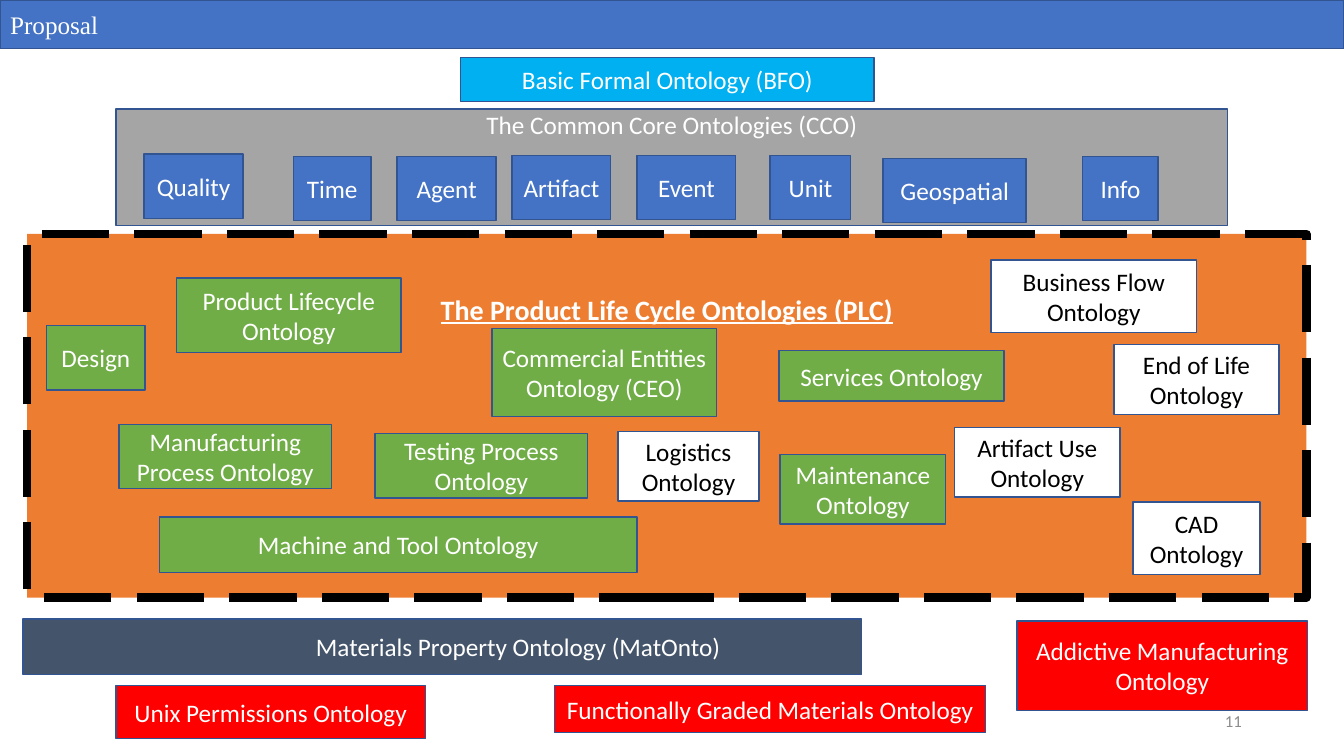
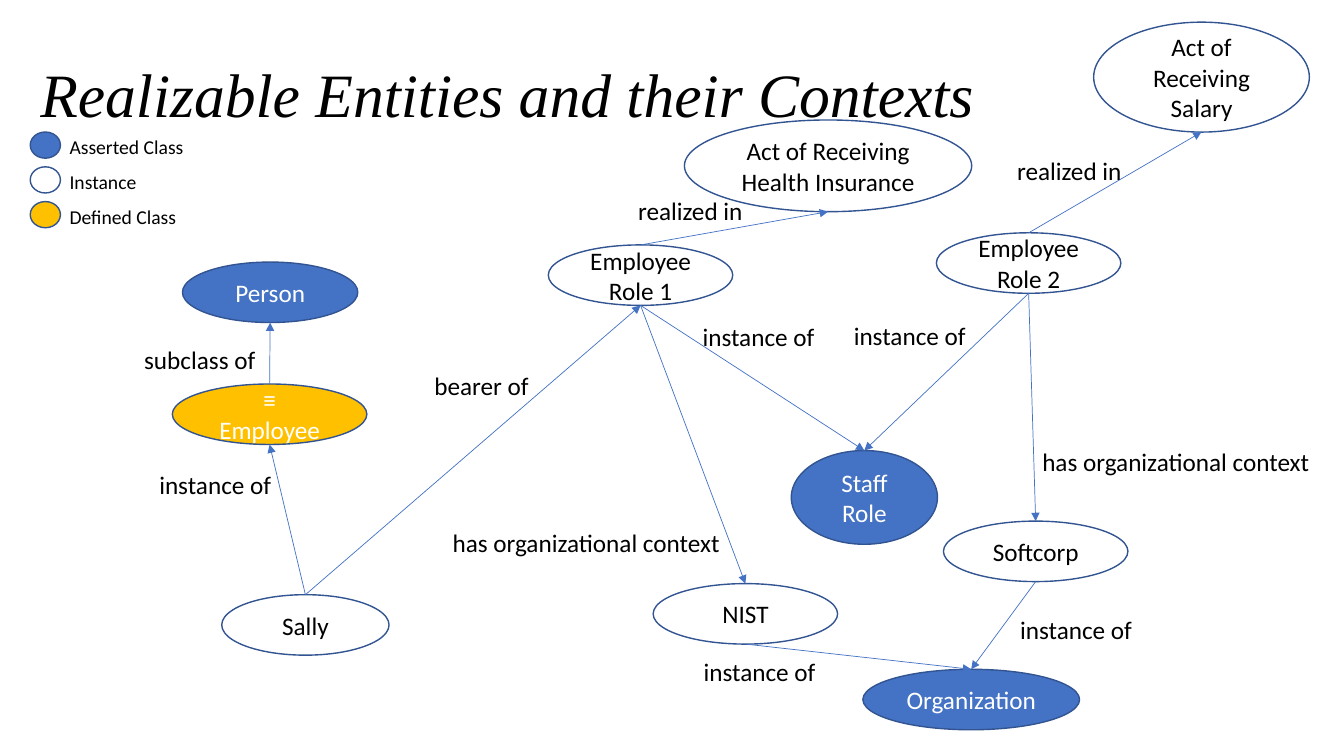
from lxml import etree
from pptx import Presentation, util as u
from pptx.dml.color import RGBColor
from pptx.enum import dml, shapes, text
from pptx.oxml.ns import qn

COLORS = {
    "blue": "4472C4", "outline": "325491", "sky": "00B0F0", "gray": "A5A5A5",
    "orange": "ED7D31", "green": "70AD47", "slate": "44546A", "red": "FF0000",
    "gold": "FFC000", "white": "FFFFFF", "black": "000000", "muted": "8C8C8C",
}
RECT = shapes.MSO_SHAPE.RECTANGLE
OVAL = shapes.MSO_SHAPE.OVAL
LEFT, CENTER, RIGHT = text.PP_ALIGN.LEFT, text.PP_ALIGN.CENTER, text.PP_ALIGN.RIGHT
TOP, MIDDLE = text.MSO_ANCHOR.TOP, text.MSO_ANCHOR.MIDDLE

prs = Presentation()
prs.slide_width, prs.slide_height = u.Inches(13.333), u.Inches(7.5)
COL, ROW = prs.slide_width / 40, prs.slide_height / 30


def rgb(name):
    return RGBColor.from_string(COLORS[name])


def put(slide, words, box, kind=None, fill="white", line="outline", line_width=1,
        dash=None, size=18, font="Calibri", color=None, bold=None, italic=None,
        underline=None, align=None, anchor=MIDDLE, wrap=True, left=0.3, top=0.2):
    x, y, w, h = box
    frame = [int(v) for v in (x * COL, y * ROW, w * COL, h * ROW)]
    if kind is None:
        item = slide.shapes.add_textbox(*frame)
        color, align = color or "black", align or LEFT
    else:
        item = slide.shapes.add_shape(kind, *frame)
        item.shadow.inherit = False
        item.fill.solid()
        item.fill.fore_color.rgb = rgb(fill)
        item.line.color.rgb = rgb(line)
        item.line.width = u.Pt(line_width)
        if dash:
            item.line.dash_style = dash
        color = color or ("black" if fill == "white" else "white")
        align = align or CENTER
    body = item.text_frame
    body.word_wrap, body.vertical_anchor = wrap, anchor
    body.margin_left, body.margin_top = int(left * COL), int(top * ROW)
    if words:
        paragraph = body.paragraphs[0]
        paragraph.alignment = align
        run = paragraph.add_run()
        run.text = words
        style = run.font
        style.name, style.size, style.color.rgb = font, u.Pt(size), rgb(color)
        style.bold, style.italic, style.underline = bold, italic, underline
    return item


blank = prs.slide_layouts[6]
proposal = prs.slides.add_slide(blank)
put(proposal, "Proposal", (0, 0, 40, 1.92), RECT, "blue", font="Times New Roman", align=LEFT)
put(proposal, "The Common Core Ontologies (CCO)", (3.45, 4.32, 33.09, 4.64), RECT, "gray",
    anchor=TOP, top=0)
put(proposal, "The Product Life Cycle Ontologies (PLC)", (0.81, 9.28, 38.07, 14.44), RECT,
    "orange", line="black", line_width=6, dash=dml.MSO_LINE.LONG_DASH,
    size=20, bold=True, underline=True, anchor=TOP, top=2.32)
put(proposal, "Materials Property Ontology (MatOnto)", (0.69, 24.56, 24.96, 2.2), RECT,
    "slate", left=4.8)

core_ontologies = [
    ("Quality", 4.29, 6.12, 2.94), ("Time", 8.73, 6.2, 2.31),
    ("Agent", 11.82, 6.2, 2.94), ("Artifact", 15.24, 6.16, 2.94),
    ("Event", 18.96, 6.16, 2.94), ("Unit", 22.92, 6.16, 2.4),
    ("Geospatial", 26.28, 6.28, 4.26), ("Info", 32.22, 6.2, 2.25),
]
for name, x, y, w in core_ontologies:
    put(proposal, name, (x, y, w, 2.56), RECT, "blue")

ontologies = {
    "sky": [("Basic Formal Ontology (BFO)", 13.71, 2.28, 12.3, 1.76)],
    "green": [
        ("Design", 1.38, 12.92, 2.94, 2.56),
        ("Product Lifecycle Ontology", 5.25, 11.04, 6.69, 2.96),
        ("Commercial Entities Ontology (CEO)", 14.64, 13.04, 6.69, 3.48),
        ("Services Ontology", 23.19, 13.92, 6.69, 2),
        ("Manufacturing Process Ontology", 3.54, 16.84, 6.33, 2.56),
        ("Testing Process Ontology", 11.16, 17.2, 6.33, 2.56),
        ("Maintenance Ontology", 23.22, 18.04, 4.92, 2.76),
        ("Machine and Tool Ontology", 4.74, 20.52, 14.22, 2.2),
    ],
    "white": [
        ("Business Flow Ontology", 29.49, 10.32, 6.12, 2.88),
        ("End of Life Ontology", 33.15, 13.68, 4.92, 2.76),
        ("Logistics Ontology", 18.39, 17.12, 4.2, 2.76),
        ("Artifact Use Ontology", 28.41, 16.96, 4.92, 2.76),
        ("CAD Ontology", 33.72, 19.92, 3.78, 2.88),
    ],
    "red": [
        ("Unix Permissions Ontology", 3.45, 27.2, 9.21, 2.12),
        ("Functionally Graded Materials Ontology", 16.5, 27.2, 12.84, 1.88),
        ("Addictive Manufacturing Ontology", 30.27, 24.64, 8.64, 3.56),
    ],
}
for fill, members in ontologies.items():
    for name, *box in members:
        put(proposal, name, box, RECT, fill)
put(proposal, "11", (28.26, 27.8, 9, 1.6), size=12, color="muted", align=RIGHT)

contexts = prs.slides.add_slide(blank)
put(contexts, "Realizable Entities and their Contexts", (0.9, 2.08, 33.39, 3.2),
    size=44, font="Times New Roman", italic=True)

entities = [
    ("Sally", "white", 6.6, 23.6, 4.98, 2.4),
    ("≡ Employee", "gold", 5.13, 15.24, 5.79, 2.4),
    ("Person", "blue", 5.43, 10.4, 5.22, 2.4),
    ("Employee Role 1", "white", 16.32, 9.72, 5.49, 2.4),
    ("Employee Role 2", "white", 27.87, 9.24, 5.49, 2.4),
    ("Staff Role", "blue", 23.55, 17.88, 4.35, 3.72),
    ("NIST", "white", 19.44, 23.16, 5.49, 2.4),
    ("Softcorp", "white", 28.08, 20.68, 5.49, 2.4),
    ("Organization", "blue", 25.68, 26.56, 6.45, 2.4),
    ("Act of Receiving Salary", "white", 32.55, 0.88, 6.42, 4.36),
    ("Act of Receiving Health Insurance", "white", 20.37, 4.76, 8.55, 3.64),
]
ovals = {name: put(contexts, name, box, OVAL, fill) for name, fill, *box in entities}

relations = [
    ("Sally", "≡ Employee"), ("Sally", "Employee Role 1"), ("≡ Employee", "Person"),
    ("Employee Role 1", "Staff Role"), ("Employee Role 2", "Staff Role"),
    ("Employee Role 1", "NIST"), ("Employee Role 2", "Softcorp"),
    ("NIST", "Organization"), ("Softcorp", "Organization"),
    ("Employee Role 1", "Act of Receiving Health Insurance"),
    ("Employee Role 2", "Act of Receiving Salary"),
]
for subject, target in relations:
    start, end = ovals[subject], ovals[target]
    upward = start.top > end.top
    start_y = start.top if upward else start.top + start.height
    end_y = end.top + end.height if upward else end.top
    arrow = contexts.shapes.add_connector(
        shapes.MSO_CONNECTOR.STRAIGHT, start.left + start.width // 2, start_y,
        end.left + end.width // 2, end_y)
    if upward:
        arrow.begin_connect(start, 0)
    else:
        arrow.end_connect(end, 0)
    arrow.line.color.rgb = rgb("blue")
    arrow.line.width = u.Pt(0.5)
    etree.SubElement(arrow.line._get_or_add_ln(), qn("a:tailEnd"), type="triangle")
    etree.SubElement(arrow._element.spPr, qn("a:effectLst"))

relation_labels = {
    ("instance of", 4): [(20.61, 12.56), (4.44, 18.44), (25.11, 12.52),
                         (30.06, 24.2), (20.64, 25.84)],
    ("bearer of", 3.45): [(12.63, 14.48)],
    ("subclass of", 3.96): [(3.99, 13.48)],
    ("has organizational context", 8.64): [(13.17, 20.72), (30.72, 17.52)],
    ("realized in", 3.75): [(18.69, 7.56), (29.97, 5.96)],
}
for (relation, w), places in relation_labels.items():
    for x, y in places:
        put(contexts, relation, (x, y, w, 1.6), wrap=False, anchor=TOP)

legend = [("Asserted Class", "blue", 4.02), ("Instance", "white", 2.61),
          ("Defined Class", "gold", 3.81)]
for i, (meaning, fill, w) in enumerate(legend):
    y = 5.24 + 1.38 * i
    put(contexts, None, (0.9, y, 0.9, 1.04), OVAL, fill)
    put(contexts, meaning, (1.77, y - 0.08, w, 1.36), size=14, wrap=False, anchor=TOP)

prs.save("out.pptx")
